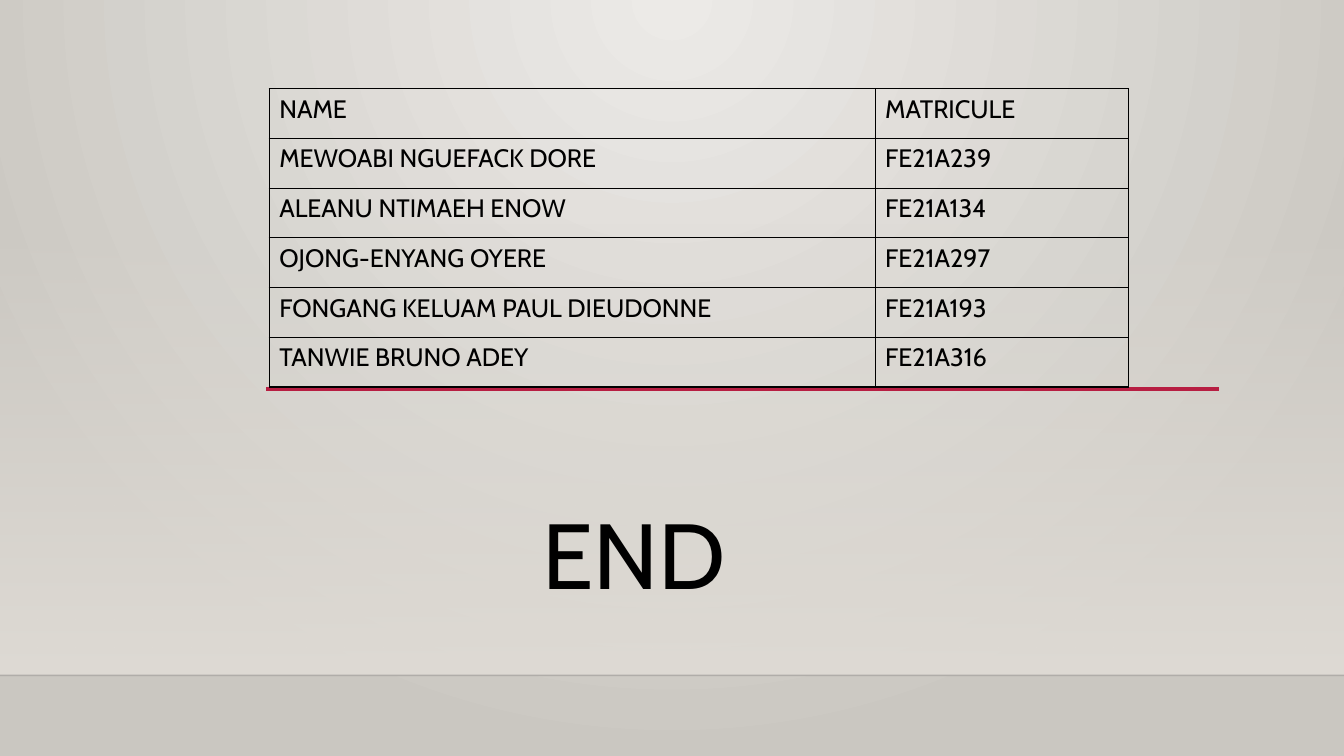
"""Build the closing slide: a table of members above a large END title."""
from lxml import etree
from pptx import Presentation
from pptx.dml.color import RGBColor
from pptx.enum import shapes, text
from pptx.oxml import ns
from pptx.util import Inches, Pt

MEMBERS = [
    ("NAME", "MATRICULE"),
    ("MEWOABI NGUEFACK DORE", "FE21A239"),
    ("ALEANU NTIMAEH ENOW", "FE21A134"),
    ("OJONG-ENYANG OYERE", "FE21A297"),
    ("FONGANG KELUAM PAUL DIEUDONNE", "FE21A193"),
    ("TANWIE BRUNO ADEY", "FE21A316"),
]
COLUMN_WIDTHS = (6.01, 2.51)
TABLE_LEFT, TABLE_TOP, TABLE_HEIGHT = 2.67, 0.88, 2.96
WIDTH, HEIGHT = 13.33, 7.5
FLOOR_TOP = 6.7
FONT = "Cabin"
BLACK = "000000"


def color(value):
    return RGBColor.from_string(value)


def add_node(parent, tag, **attributes):
    node = etree.SubElement(parent, ns.qn(tag))
    for name, value in attributes.items():
        node.set(name, str(value))
    return node


def add_color(parent, value, opacity=100):
    node = add_node(parent, "a:srgbClr", val=value)
    if opacity < 100:
        add_node(node, "a:alpha", val=opacity * 1000)


def set_gradient(fill, owner, stops):
    fill.gradient()
    gradient = owner.xpath(".//a:gradFill")[0]
    for child in list(gradient):
        gradient.remove(child)
    stop_list = add_node(gradient, "a:gsLst")
    for position, value, opacity in stops:
        add_color(add_node(stop_list, "a:gs", pos=position * 1000), value, opacity)
    return gradient


def write(frame, words, size, align=text.PP_ALIGN.LEFT, spacing=1.0):
    para = frame.paragraphs[0]
    para.alignment = align
    para.line_spacing = spacing
    span = para.add_run()
    span.text = words
    span.font.name = FONT
    span.font.size = Pt(size)
    span.font.color.rgb = color(BLACK)


def add_rule(page, left, right, top, value, width, opacity=100):
    rule = page.shapes.add_connector(
        shapes.MSO_CONNECTOR.STRAIGHT, Inches(left), Inches(top), Inches(right), Inches(top))
    rule.line.width = Pt(width)
    rule.line.color.rgb = color(value)
    if opacity < 100:
        add_node(rule.element.xpath(".//a:ln//a:srgbClr")[0], "a:alpha", val=opacity * 1000)
    add_node(rule.element.spPr, "a:effectLst")


def add_backdrop(page):
    glow = set_gradient(page.background.fill, page.element,
                        [(0, "ECEAE7", 100), (100, "CAC7C1", 100)])
    focus = add_node(glow, "a:path", path="circle")
    add_node(focus, "a:fillToRect", l=43000, t=0, r=43000, b=100000)

    wall = page.shapes.add_shape(
        shapes.MSO_SHAPE.RECTANGLE, 0, Inches(2.21), Inches(WIDTH), Inches(FLOOR_TOP - 2.21))
    wall.shadow.inherit = False
    wall.line.fill.background()
    fade = set_gradient(wall.fill, wall.element, [(0, "DFDBD5", 0), (100, "DFDBD5", 100)])
    add_node(fade, "a:lin", ang=90 * 60000, scaled=0)

    add_rule(page, 0, WIDTH, FLOOR_TOP, "000001", 1, opacity=20)
    add_rule(page, 2.64, 12.09, 3.86, "B71E42", 2.5)


def add_title(page):
    title = page.shapes.title
    page.shapes.element.append(title.element)
    title.left, title.top = Inches(3.48), Inches(4.81)
    title.width, title.height = Inches(5.83), Inches(1.24)
    frame = title.text_frame
    frame.auto_size = text.MSO_AUTO_SIZE.NONE
    frame.word_wrap = True
    frame.vertical_anchor = text.MSO_ANCHOR.BOTTOM
    frame.margin_left = frame.margin_right = Inches(0.1)
    frame.margin_top, frame.margin_bottom = Inches(0.05), 0
    write(frame, "END ", 66, align=text.PP_ALIGN.CENTER, spacing=0.9)


def add_borders(cell):
    cell.fill.background()
    properties = cell._tc.get_or_add_tcPr()
    for index, side in enumerate(("a:lnL", "a:lnR", "a:lnT", "a:lnB")):
        border = add_node(properties, side, w=Pt(1))
        add_color(add_node(border, "a:solidFill"), BLACK)
        properties.insert(index, border)


def add_members(page):
    table = page.shapes.add_table(
        len(MEMBERS), len(COLUMN_WIDTHS), Inches(TABLE_LEFT), Inches(TABLE_TOP),
        Inches(sum(COLUMN_WIDTHS)), Inches(TABLE_HEIGHT)).table
    table.first_row = table.horz_banding = False
    for column, width in zip(table.columns, COLUMN_WIDTHS):
        column.width = Inches(width)
    for row, member in zip(table.rows, MEMBERS):
        row.height = Inches(TABLE_HEIGHT / len(MEMBERS))
        for cell, words in zip(row.cells, member):
            add_borders(cell)
            write(cell.text_frame, words, 18)


def main():
    deck = Presentation()
    deck.slide_width, deck.slide_height = Inches(WIDTH), Inches(HEIGHT)
    page = deck.slides.add_slide(deck.slide_layouts[5])
    add_backdrop(page)
    add_title(page)
    add_members(page)
    deck.save("out.pptx")


if __name__ == "__main__":
    main()
